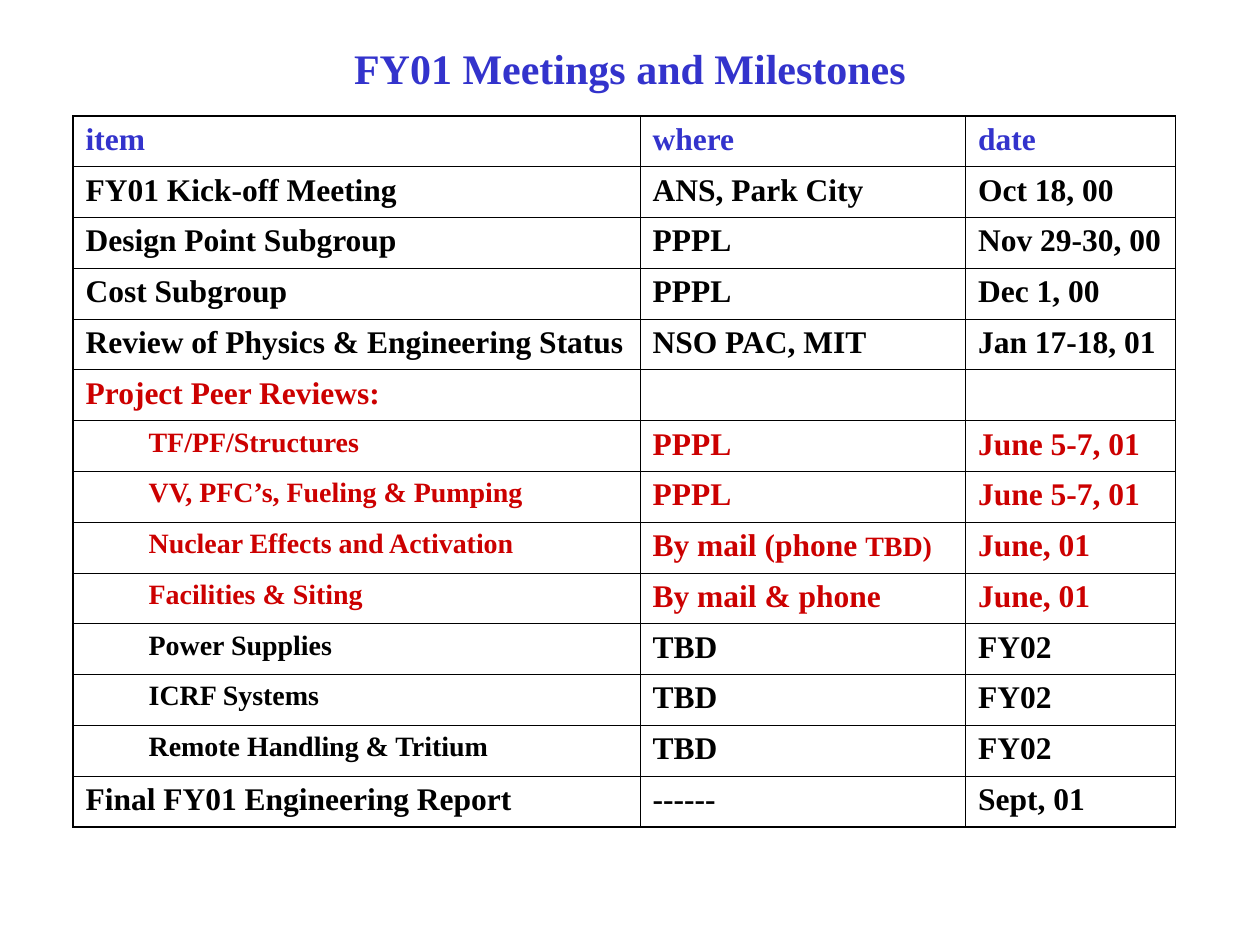
from dataclasses import dataclass

from lxml import etree
from pptx import Presentation
from pptx.dml.color import RGBColor
from pptx.enum.text import MSO_ANCHOR, PP_ALIGN
from pptx.oxml.ns import qn
from pptx.slide import Slide
from pptx.table import _Cell
from pptx.text.text import _Paragraph
from pptx.util import Inches, Pt

CENTER = PP_ALIGN.CENTER
MIDDLE = MSO_ANCHOR.MIDDLE
BLUE = RGBColor(0x33, 0x33, 0xCC)
RED = RGBColor(0xCC, 0x00, 0x00)
BLACK = RGBColor(0x00, 0x00, 0x00)

FONT = "Times New Roman"
TITLE_SIZE, ITEM_SIZE, SUBITEM_SIZE = 24, 18, 16
SLIDE_WIDTH, SLIDE_HEIGHT = Inches(10), Inches(7.5)
TABLE_LEFT = Inches(0.58)
TABLE_TOP = Inches(0.92)
TABLE_WIDTH = Inches(8.75)
TABLE_HEIGHT = Inches(5.64)
COLUMN_SHARES = (54, 31, 20)
INDENT = Inches(0.5)
OUTER_LINE, INNER_LINE = Pt(1.08), Pt(0.45)


@dataclass(frozen=True)
class Milestone:
    item: str
    where: str
    date: str
    color: RGBColor = BLACK
    indented: bool = False
    where_small: str = ""


MILESTONES = (
    Milestone("item", "where", "date", BLUE),
    Milestone("FY01 Kick-off Meeting", "ANS, Park City", "Oct 18, 00"),
    Milestone("Design Point Subgroup", "PPPL", "Nov 29-30, 00"),
    Milestone("Cost Subgroup", "PPPL", "Dec 1, 00"),
    Milestone("Review of Physics & Engineering Status", "NSO PAC, MIT", "Jan 17-18, 01"),
    Milestone("Project Peer Reviews:", "", "", RED),
    Milestone("TF/PF/Structures", "PPPL", "June 5-7, 01", RED, True),
    Milestone("VV, PFC’s, Fueling & Pumping", "PPPL", "June 5-7, 01", RED, True),
    Milestone("Nuclear Effects and Activation", "By mail (phone ", "June, 01", RED, True, "TBD)"),
    Milestone("Facilities & Siting", "By mail & phone", "June, 01", RED, True),
    Milestone("Power Supplies", "TBD", "FY02", indented=True),
    Milestone("ICRF Systems", "TBD", "FY02", indented=True),
    Milestone("Remote Handling & Tritium", "TBD", "FY02", indented=True),
    Milestone("Final FY01 Engineering Report", "------", "Sept, 01"),
)


def add_run(paragraph: _Paragraph, text: str, size: float, color: RGBColor) -> None:
    if not text:
        return
    run = paragraph.add_run()
    run.text = text
    run.font.name = FONT
    run.font.size = Pt(size)
    run.font.bold = True
    run.font.color.rgb = color


def add_title(slide: Slide, text: str) -> None:
    title = slide.shapes.title
    title.left, title.top = int(SLIDE_WIDTH * 0.075), Inches(0.25)
    title.width, title.height = int(SLIDE_WIDTH * 0.85), Inches(0.58)
    title.text_frame.vertical_anchor = MIDDLE
    paragraph = title.text_frame.paragraphs[0]
    paragraph.alignment = CENTER
    add_run(paragraph, text, TITLE_SIZE, BLUE)


def draw_borders(cell: _Cell, row: int, column: int) -> None:
    outer_edges = {
        "a:lnL": column == 0,
        "a:lnR": column == len(COLUMN_SHARES) - 1,
        "a:lnT": row == 0,
        "a:lnB": row == len(MILESTONES) - 1,
    }
    properties = cell._tc.get_or_add_tcPr()
    for tag, is_outer in outer_edges.items():
        width = OUTER_LINE if is_outer else INNER_LINE
        line = etree.SubElement(properties, qn(tag), w=str(int(width)))
        fill = etree.SubElement(line, qn("a:solidFill"))
        etree.SubElement(fill, qn("a:srgbClr"), val=str(BLACK))


def indent(paragraph: _Paragraph) -> None:
    paragraph.level = 1
    properties = paragraph._p.get_or_add_pPr()
    properties.set("marL", str(int(INDENT)))
    properties.set("indent", "0")


def fill_row(cells: list[_Cell], milestone: Milestone) -> None:
    item, where, date = (cell.text_frame.paragraphs[0] for cell in cells)
    if milestone.indented:
        indent(item)
    item_size = SUBITEM_SIZE if milestone.indented else ITEM_SIZE
    add_run(item, milestone.item, item_size, milestone.color)
    add_run(where, milestone.where, ITEM_SIZE, milestone.color)
    add_run(where, milestone.where_small, SUBITEM_SIZE, milestone.color)
    add_run(date, milestone.date, ITEM_SIZE, milestone.color)


def add_milestone_table(slide: Slide) -> None:
    table = slide.shapes.add_table(
        len(MILESTONES), len(COLUMN_SHARES), TABLE_LEFT, TABLE_TOP, TABLE_WIDTH, TABLE_HEIGHT
    ).table
    table.first_row = False
    table.horz_banding = False
    for column, share in zip(table.columns, COLUMN_SHARES):
        column.width = int(TABLE_WIDTH * share / sum(COLUMN_SHARES))
    for row_index, (row, milestone) in enumerate(zip(table.rows, MILESTONES)):
        cells = list(row.cells)
        for column_index, cell in enumerate(cells):
            draw_borders(cell, row_index, column_index)
            cell.fill.background()
        fill_row(cells, milestone)


def main() -> None:
    presentation = Presentation()
    presentation.slide_width = SLIDE_WIDTH
    presentation.slide_height = SLIDE_HEIGHT
    slide = presentation.slides.add_slide(presentation.slide_layouts[5])
    add_title(slide, "FY01 Meetings and Milestones")
    add_milestone_table(slide)
    presentation.save("out.pptx")


if __name__ == "__main__":
    main()
